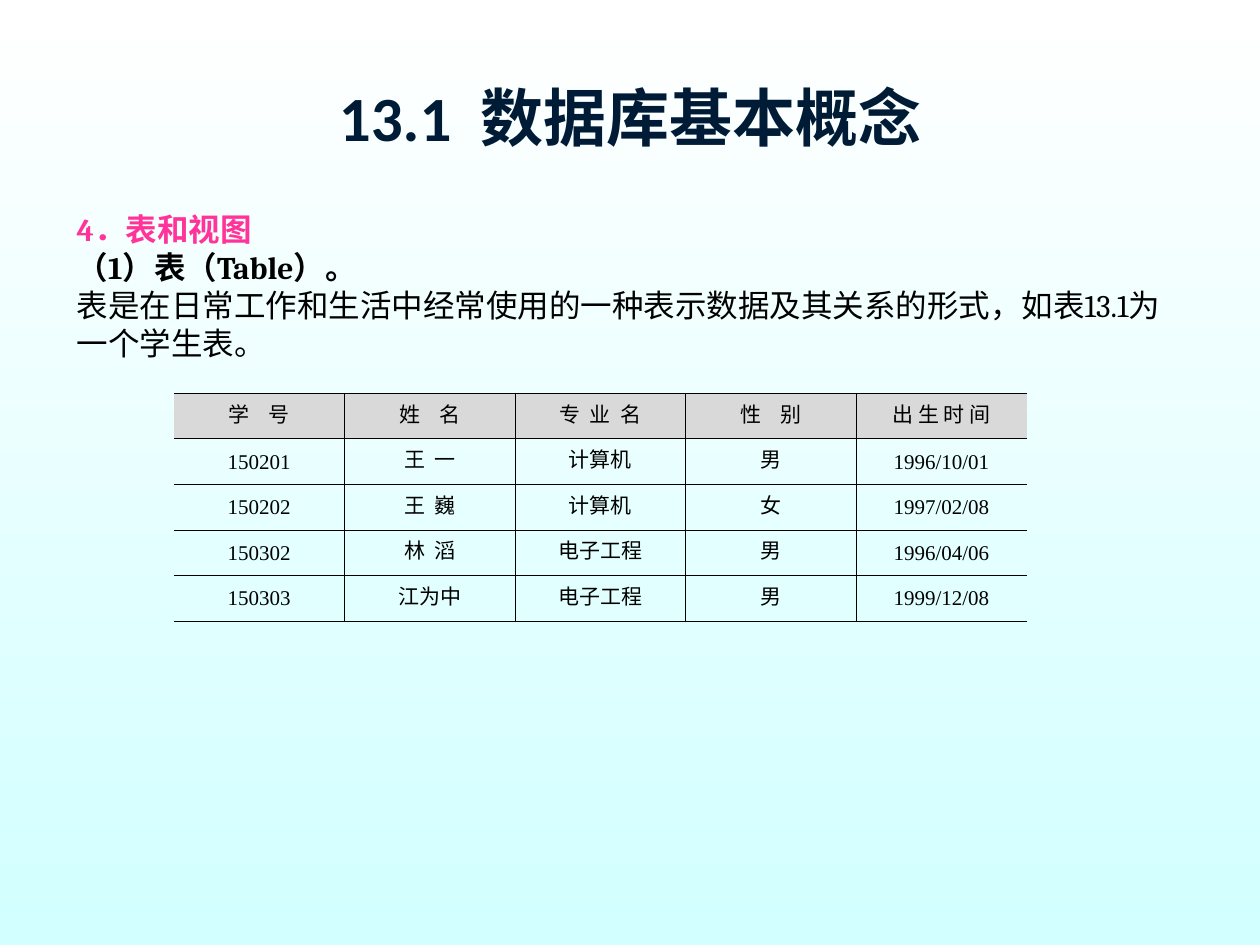
from lxml import etree
from pptx import Presentation
from pptx.dml.color import RGBColor
from pptx.enum.text import MSO_ANCHOR, MSO_AUTO_SIZE, PP_ALIGN
from pptx.oxml.ns import qn
from pptx.util import Inches, Pt

CENTER = PP_ALIGN.CENTER
MIDDLE = MSO_ANCHOR.MIDDLE
GROW = MSO_AUTO_SIZE.SHAPE_TO_FIT_TEXT
TITLE_ONLY = 5
WIDTH, HEIGHT = Inches(10), Inches(7.5)
BORDER_WIDTH = Pt(0.45)
COLORS = {
    "top": "FFFFFF",
    "bottom": "D2FFFF",
    "title": "001B36",
    "heading": "FF3399",
    "text": "000000",
    "header": "D9D9D9",
}
INTRODUCTION = [
    ("4．表和视图", "heading", True),
    ("（1）表（Table）。", "text", True),
    ("表是在日常工作和生活中经常使用的一种表示数据及其关系的形式，如表13.1为一个学生表。", "text", False),
]
STUDENTS = [
    ("学    号", "姓    名", "专  业  名", "性    别", "出 生 时 间"),
    ("150201", "王  一", "计算机", "男", "1996/10/01"),
    ("150202", "王  巍", "计算机", "女", "1997/02/08"),
    ("150302", "林  滔", "电子工程", "男", "1996/04/06"),
    ("150303", "江为中", "电子工程", "男", "1999/12/08"),
]


def color(name):
    """Return the named colour."""
    return RGBColor.from_string(COLORS[name])


def format_runs(para, font_name, size, color_name, bold=False):
    """Format every run of a paragraph."""
    for span in para.runs:
        span.font.name = font_name
        span.font.size = Pt(size)
        span.font.bold = bold
        span.font.color.rgb = color(color_name)


def paint_background(page):
    """Fill the page with a gradient from top to bottom."""
    fill = page.background.fill
    fill.gradient()
    fill.gradient_angle = 270
    for stop, name in zip(fill.gradient_stops, ("top", "bottom")):
        stop.color.rgb = color(name)


def write_title(page, text):
    """Place and format the title."""
    title = page.shapes.title
    title.left, title.top = Inches(0.5), Inches(0.3)
    title.width, title.height = Inches(9), Inches(1.25)
    title.text_frame.text = text
    title.text_frame.vertical_anchor = MIDDLE
    para = title.text_frame.paragraphs[0]
    para.alignment = CENTER
    format_runs(para, "Calibri", 36, "title", True)


def write_introduction(page):
    """Add the paragraphs above the table."""
    box = page.shapes.add_textbox(Inches(0.51), Inches(1.62), Inches(8.98), Inches(1.6))
    frame = box.text_frame
    frame.word_wrap = True
    frame.auto_size = GROW
    frame.text = "\n".join(text for text, _, _ in INTRODUCTION)
    for para, (_, color_name, bold) in zip(frame.paragraphs, INTRODUCTION):
        format_runs(para, "Cambria", 18, color_name, bold)


def draw_borders(cell, visible):
    """Draw the visible sides of a cell and clear the others."""
    properties = cell._tc.get_or_add_tcPr()
    for position, side in enumerate("LRTB"):
        line = etree.Element(qn(f"a:ln{side}"), w=str(BORDER_WIDTH))
        if side in visible:
            fill = etree.SubElement(line, qn("a:solidFill"))
            etree.SubElement(fill, qn("a:srgbClr"), val=COLORS["text"])
        else:
            etree.SubElement(line, qn("a:noFill"))
        properties.insert(position, line)


def format_cell(cell, text, is_header):
    """Write and format one table cell."""
    cell.text_frame.text = text
    cell.vertical_anchor = MIDDLE
    cell.margin_left = cell.margin_right = Inches(0.08)
    para = cell.text_frame.paragraphs[0]
    para.alignment = CENTER
    para.line_spacing = Pt(14)
    format_runs(para, "Arial" if is_header else "Times New Roman", 12, "text")
    if is_header:
        cell.fill.solid()
        cell.fill.fore_color.rgb = color("header")
    else:
        cell.fill.background()


def add_students(page):
    """Add the student table, open at its left and right edges."""
    rows, columns = len(STUDENTS), len(STUDENTS[0])
    frame = page.shapes.add_table(
        rows, columns, Inches(1.38), Inches(3.12), Inches(6.77), Inches(1.81)
    )
    table = frame.table
    table.horz_banding = False
    for row, record in enumerate(STUDENTS):
        for column, text in enumerate(record):
            cell = table.cell(row, column)
            format_cell(cell, text, row == 0)
            left = "L" if column > 0 else ""
            right = "R" if column < columns - 1 else ""
            draw_borders(cell, "TB" + left + right)


def main():
    """Build and save the deck."""
    deck = Presentation()
    deck.slide_width, deck.slide_height = WIDTH, HEIGHT
    page = deck.slides.add_slide(deck.slide_layouts[TITLE_ONLY])
    paint_background(page)
    write_title(page, "13.1  数据库基本概念")
    write_introduction(page)
    add_students(page)
    deck.save("out.pptx")


if __name__ == "__main__":
    main()
